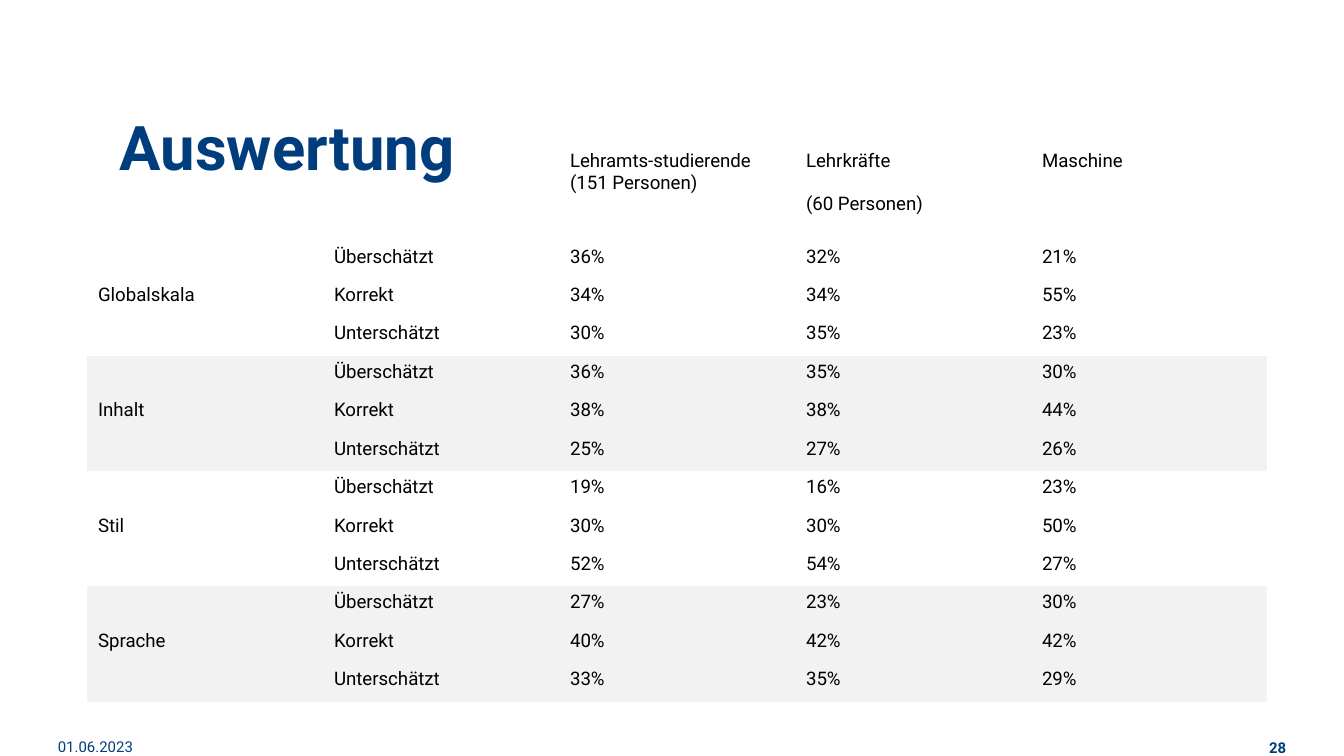
from pptx import Presentation
from pptx.dml.color import RGBColor
from pptx.enum.text import MSO_ANCHOR, MSO_AUTO_SIZE, PP_ALIGN
from pptx.oxml.ns import qn
from pptx.util import Inches, Pt

FONT = "Roboto"
NAVY = RGBColor(0x00, 0x3E, 0x7C)
TITLE_BLUE = RGBColor(0x00, 0x3D, 0x7C)
BLACK = RGBColor(0x00, 0x00, 0x00)
LIGHT_GREY = RGBColor(0xF2, 0xF2, 0xF2)

TOP = MSO_ANCHOR.TOP
BOTTOM = MSO_ANCHOR.BOTTOM
NO_AUTOFIT = MSO_AUTO_SIZE.NONE
LEFT = PP_ALIGN.LEFT
RIGHT = PP_ALIGN.RIGHT

TITLE_ONLY_LAYOUT = 5
PLAIN_TABLE_STYLE = "{2D5ABB26-0587-4C30-8999-92F81FD0307C}"
TABLE_HEIGHT = Inches(4.14)
HEADER_HEIGHT = Inches(0.71)
HEADERS = [
    "",
    "",
    "Lehramts-studierende\n(151 Personen)",
    "Lehrkräfte\n(60 Personen)",
    "Maschine",
]
TEACHER_COLUMN = 3
RATINGS = ["Überschätzt", "Korrekt", "Unterschätzt"]
RESULTS = {
    "Globalskala": [(36, 32, 21), (34, 34, 55), (30, 35, 23)],
    "Inhalt": [(36, 35, 30), (38, 38, 44), (25, 27, 26)],
    "Stil": [(19, 16, 23), (30, 30, 50), (52, 54, 27)],
    "Sprache": [(27, 23, 30), (40, 42, 42), (33, 35, 29)],
}


def format_paragraph(paragraph, size, color, bold=False, alignment=LEFT):
    paragraph.alignment = alignment
    font = paragraph.font
    font.name = FONT
    font.size = Pt(size)
    font.bold = bold
    font.color.rgb = color


def set_title(slide, text):
    title = slide.shapes.title
    title.left, title.top = Inches(0.79), Inches(0.76)
    title.width, title.height = Inches(5), Inches(0.66)
    text_frame = title.text_frame
    text_frame.text = text
    text_frame.auto_size = NO_AUTOFIT
    text_frame.vertical_anchor = TOP
    format_paragraph(text_frame.paragraphs[0], 33, TITLE_BLUE, bold=True)


def add_footer(slide, text, left, width, anchor=TOP, bold=False, alignment=LEFT):
    footer = slide.shapes.add_textbox(
        Inches(left), Inches(5.49), Inches(width), Inches(0.14)
    )
    text_frame = footer.text_frame
    text_frame.word_wrap = True
    text_frame.vertical_anchor = anchor
    text_frame.margin_left = text_frame.margin_right = 0
    text_frame.margin_top = text_frame.margin_bottom = 0
    text_frame.text = text
    format_paragraph(text_frame.paragraphs[0], 8, NAVY, bold, alignment)


def fill_cell(cell, text, shaded):
    cell.margin_left = cell.margin_right = Inches(0.08)
    cell.margin_top = cell.margin_bottom = Inches(0.04)
    if shaded:
        cell.fill.solid()
        cell.fill.fore_color.rgb = LIGHT_GREY
    else:
        cell.fill.background()
    cell.text = text
    for paragraph in cell.text_frame.paragraphs:
        format_paragraph(paragraph, 10, BLACK)


def build_rows():
    rows = [(HEADERS, False)]
    for group, (scale, shares) in enumerate(RESULTS.items()):
        for rating, values in zip(RATINGS, shares):
            label = scale if rating == "Korrekt" else ""
            percentages = [f"{value}%" for value in values]
            rows.append(([label, rating, *percentages], group % 2 == 1))
    return rows


def add_results_table(slide):
    rows = build_rows()
    frame = slide.shapes.add_table(
        len(rows), len(HEADERS), Inches(0.65), Inches(1.08), Inches(8.78), TABLE_HEIGHT
    )
    style = next(frame.element.iter(qn("a:tableStyleId")))
    style.text = PLAIN_TABLE_STYLE
    table = frame.table
    table.first_row = False
    table.horz_banding = False
    row_height = (TABLE_HEIGHT - HEADER_HEIGHT) // (len(rows) - 1)
    for row_index, (texts, shaded) in enumerate(rows):
        table.rows[row_index].height = row_height if row_index else HEADER_HEIGHT
        for column_index, text in enumerate(texts):
            fill_cell(table.cell(row_index, column_index), text, shaded)
    teacher_header = table.cell(0, TEACHER_COLUMN)
    teacher_header.text_frame.paragraphs[1].space_before = Pt(11)


def main():
    presentation = Presentation()
    presentation.slide_width = Inches(10)
    presentation.slide_height = presentation.slide_width * 9 // 16
    layout = presentation.slide_layouts[TITLE_ONLY_LAYOUT]
    slide = presentation.slides.add_slide(layout)
    add_footer(slide, "01.06.2023", 0.43, 0.71)
    add_footer(slide, "28", 9.02, 0.55, BOTTOM, bold=True, alignment=RIGHT)
    set_title(slide, "Auswertung")
    add_results_table(slide)
    presentation.save("out.pptx")


if __name__ == "__main__":
    main()
